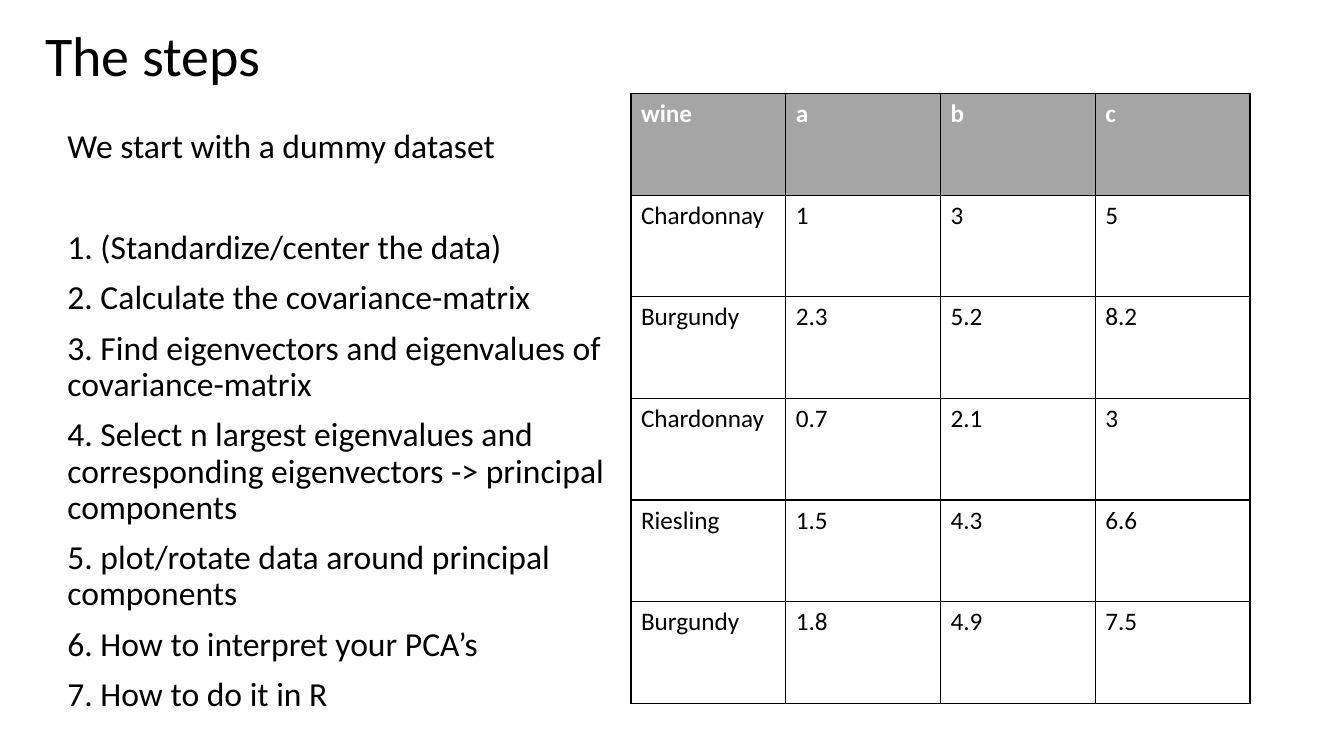
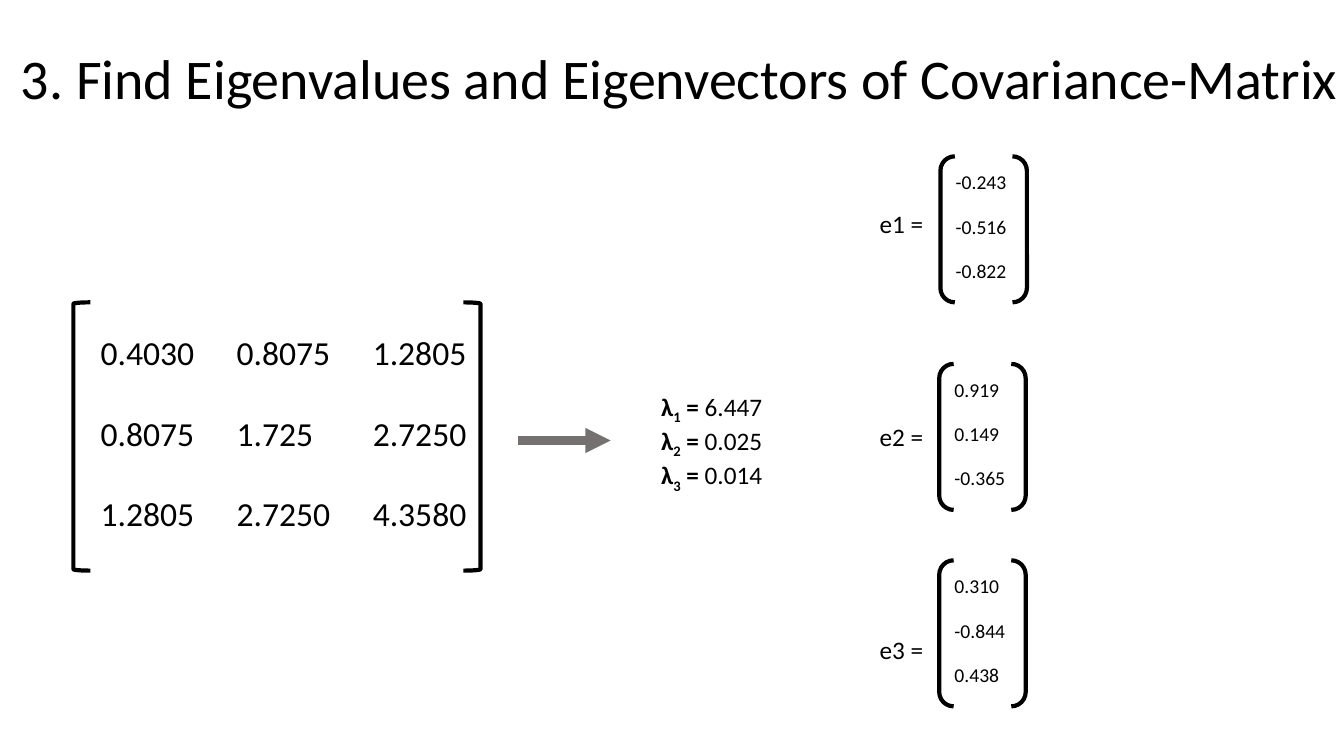
from lxml.etree import SubElement
from pptx import Presentation
from pptx.dml.color import RGBColor
from pptx.enum.shapes import MSO_CONNECTOR, MSO_SHAPE
from pptx.enum.text import MSO_ANCHOR
from pptx.oxml.ns import qn
from pptx.util import Cm, Pt

BLACK = RGBColor(0x00, 0x00, 0x00)
WHITE = RGBColor(0xFF, 0xFF, 0xFF)
HEADER_GRAY = RGBColor(0xA5, 0xA5, 0xA5)
ARROW_GRAY = RGBColor(0x76, 0x71, 0x71)
FONT = "Calibri"
PLAIN_TABLE_STYLE = "{2D5ABB26-0587-4C30-8999-92F81FD0307C}"

STEPS = [
    "We start with a dummy dataset",
    "1. (Standardize/center the data)",
    "2. Calculate the covariance-matrix",
    "3. Find eigenvectors and eigenvalues of covariance-matrix",
    "4. Select n largest eigenvalues and corresponding eigenvectors -> principal components",
    "5. plot/rotate data around principal components",
    "6. How to interpret your PCA’s",
    "7. How to do it in R",
]
WINES = [
    ["wine", "a", "b", "c"],
    ["Chardonnay", "1", "3", "5"],
    ["Burgundy", "2.3", "5.2", "8.2"],
    ["Chardonnay", "0.7", "2.1", "3"],
    ["Riesling", "1.5", "4.3", "6.6"],
    ["Burgundy", "1.8", "4.9", "7.5"],
]
COVARIANCE = [
    ["0.4030", "0.8075", "1.2805"],
    ["0.8075", "1.725", "2.7250"],
    ["1.2805", "2.7250", "4.3580"],
]
EIGENVALUES = ["6.447", "0.025", "0.014"]
# Left and top of each bracketed vector in cm, then its values
EIGENVECTORS = [
    (23.7, 3.94, ["-0.243", "-0.516", "-0.822"]),
    (23.67, 9.17, ["0.919", "0.149", "-0.365"]),
    (23.67, 14.12, ["0.310", "-0.844", "0.438"]),
]


def style_run(run, size, color=BLACK, bold=False):
    run.font.name = FONT
    run.font.size = Pt(size)
    run.font.color.rgb = color
    run.font.bold = bold


def add_text(slide, left, top, width, height, lines, size):
    """Add a wrapped text box with one paragraph per line; return its frame."""
    frame = slide.shapes.add_textbox(Cm(left), Cm(top), Cm(width), Cm(height)).text_frame
    frame.word_wrap = True
    frame.text = "\n".join(lines)
    for paragraph in frame.paragraphs:
        for run in paragraph.runs:
            style_run(run, size)
    return frame


def add_title(slide, left, width, bottom, title):
    frame = add_text(slide, left, 0, width, bottom, [title], 40)
    frame.vertical_anchor = MSO_ANCHOR.BOTTOM
    frame.margin_right = 0
    frame.paragraphs[0].line_spacing = 0.9


def add_steps(slide, left, top, width, height):
    frame = add_text(slide, left, top, width, height, STEPS, 24)
    for index, step in enumerate(frame.paragraphs):
        step.line_spacing = 0.9
        step.space_before = Pt(46 if index == 1 else 10)


def add_cell_borders(cell):
    properties = cell._tc.get_or_add_tcPr()
    for side in ("lnL", "lnR", "lnT", "lnB"):
        border = SubElement(properties, qn(f"a:{side}"), w=str(Pt(1)))
        fill = SubElement(border, qn("a:solidFill"))
        SubElement(fill, qn("a:srgbClr"), val=str(BLACK))


def add_grid(slide, left, top, column_width, row_height, rows, size, ruled=False):
    """Add a table of equal cells; a ruled one has borders and a gray header."""
    column_count = len(rows[0])
    table = slide.shapes.add_table(
        len(rows), column_count, Cm(left), Cm(top),
        Cm(column_width * column_count), Cm(row_height * len(rows))).table
    table._tbl.tblPr.find(qn("a:tableStyleId")).text = PLAIN_TABLE_STYLE
    table.first_row = ruled
    table.horz_banding = False
    for column in table.columns:
        column.width = Cm(column_width)
    for row_index, values in enumerate(rows):
        table.rows[row_index].height = Cm(row_height)
        is_header = ruled and row_index == 0
        for column_index, value in enumerate(values):
            cell = table.cell(row_index, column_index)
            cell.text = value
            style_run(cell.text_frame.paragraphs[0].runs[0], size,
                      WHITE if is_header else BLACK, is_header)
            if ruled:
                add_cell_borders(cell)
            if is_header:
                cell.fill.solid()
                cell.fill.fore_color.rgb = HEADER_GRAY
            else:
                cell.fill.background()


def add_bracket(slide, kind, left, top, width, height):
    bracket = slide.shapes.add_shape(kind, Cm(left), Cm(top), Cm(width), Cm(height))
    bracket.shadow.inherit = False
    bracket.fill.background()
    bracket.line.color.rgb = BLACK
    bracket.line.width = Pt(3)


def add_covariance_matrix(slide, left, top, width, height):
    bracket_width = 0.43
    add_grid(slide, left + bracket_width, top + 0.66, 3.43, 2.03, COVARIANCE, 24)
    add_bracket(slide, MSO_SHAPE.LEFT_BRACKET, left, top, bracket_width, height)
    add_bracket(slide, MSO_SHAPE.RIGHT_BRACKET, left + width - bracket_width, top,
                bracket_width, height)


def add_arrow(slide, left, right, y):
    arrow = slide.shapes.add_connector(
        MSO_CONNECTOR.STRAIGHT, Cm(left), Cm(y), Cm(right), Cm(y))
    arrow.line.color.rgb = ARROW_GRAY
    arrow.line.width = Pt(6)
    SubElement(arrow.line._get_or_add_ln(), qn("a:tailEnd"), type="triangle")
    SubElement(arrow._element.spPr, qn("a:effectLst"))


def add_eigenvalues(slide, left, top, width, height):
    frame = add_text(slide, left, top, width, height, [""] * len(EIGENVALUES), 18)
    for number, (line, value) in enumerate(zip(frame.paragraphs, EIGENVALUES), 1):
        for part in ("λ", str(number), " = ", value):
            run = line.add_run()
            run.text = part
            style_run(run, 18, bold=part != value)
            if part == str(number):
                run._r.get_or_add_rPr().set("baseline", "-25000")


def add_eigenvector(slide, left, top, values):
    add_bracket(slide, MSO_SHAPE.DOUBLE_BRACKET, left, top, 2.18, 3.68)
    add_grid(slide, left + 0.13, top + 0.25, 2, 1.11, [[value] for value in values], 14)


def build_steps_slide(slide):
    add_title(slide, 0.89, 25.4, 2.36, "The steps")
    add_steps(slide, 1.45, 3.15, 14.45, 15.06)
    add_grid(slide, 15.9, 2.36, 3.9, 2.56, WINES, 18, ruled=True)


def build_eigen_slide(slide):
    add_title(slide, 0.28, 33.58, 2.95,
              "3. Find Eigenvalues and Eigenvectors of Covariance-Matrix")
    add_covariance_matrix(slide, 1.85, 7.62, 10.26, 6.76)
    add_arrow(slide, 13.06, 15.39, 11.1)
    add_eigenvalues(slide, 16.41, 9.73, 3.28, 2.57)
    for index, (left, top, values) in enumerate(EIGENVECTORS):
        add_text(slide, 21.92, 5.13 + 5.36 * index, 1.78, 1.03, [f"e{index + 1} ="], 18)
        add_eigenvector(slide, left, top, values)


def main():
    presentation = Presentation()
    presentation.slide_width = Cm(33.87)
    presentation.slide_height = Cm(19.05)
    blank_layout = presentation.slide_layouts[6]
    for build in (build_steps_slide, build_eigen_slide):
        build(presentation.slides.add_slide(blank_layout))
    presentation.save("out.pptx")


if __name__ == "__main__":
    main()
